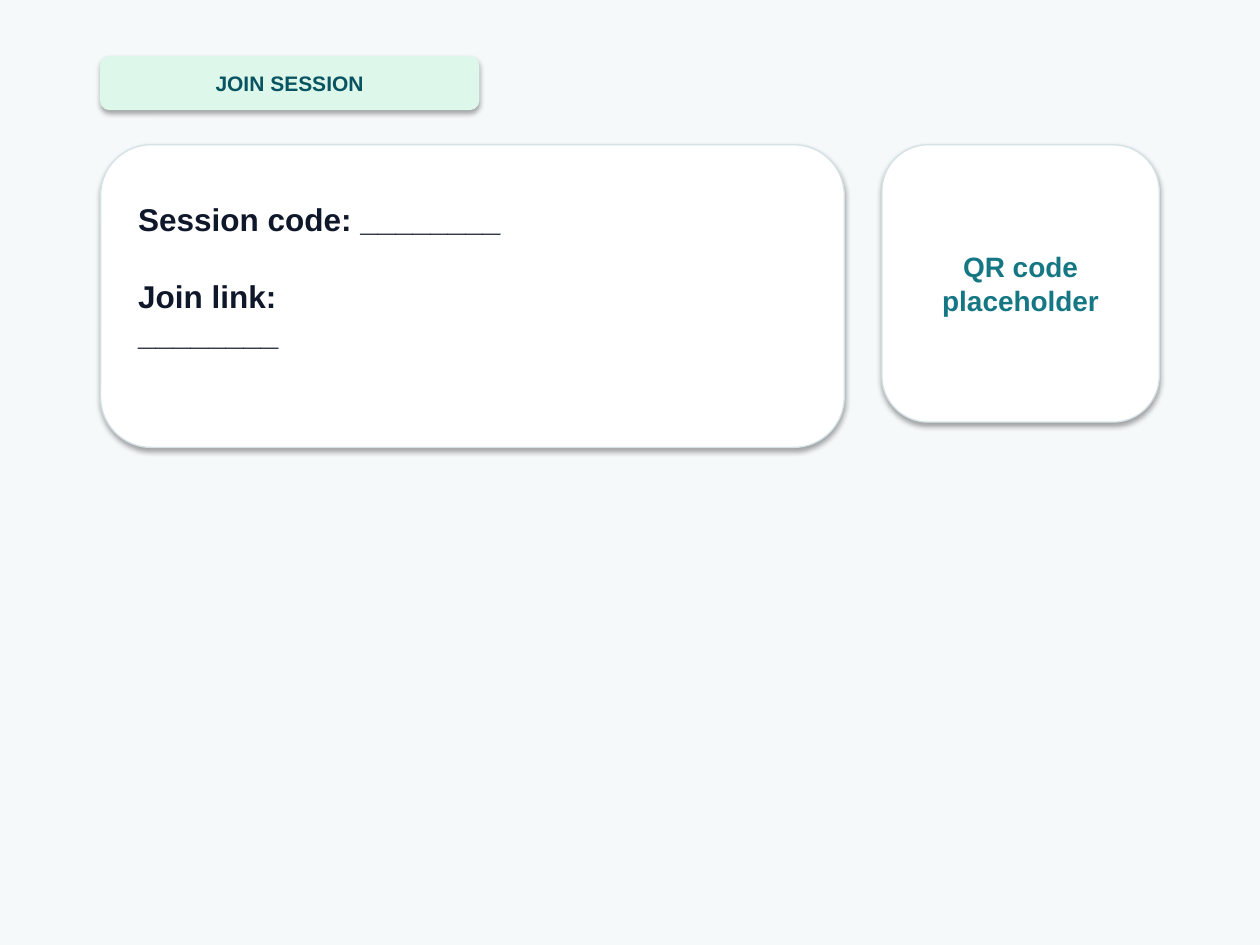
from dataclasses import dataclass

from pptx import Presentation
from pptx.dml.color import RGBColor
from pptx.enum.shapes import MSO_SHAPE
from pptx.enum.text import MSO_ANCHOR, PP_ALIGN
from pptx.util import Cm, Pt


@dataclass(frozen=True)
class Theme:
    page: str = "F6F9FA"
    mint: str = "DEF7EB"
    card: str = "FFFFFF"
    edge: str = "D4E2E5"
    deep: str = "085461"
    ink: str = "0F172A"
    teal: str = "167784"
    font: str = "Arial"
    tag: int = 12
    body: int = 18
    code: int = 16


THEME = Theme()


def add_box(slide, kind, area, fill, edge):
    """Add a filled shape that keeps the soft shadow of the theme."""
    box = slide.shapes.add_shape(kind, *[Cm(n) for n in area])
    box.fill.solid()
    box.fill.fore_color.rgb = RGBColor.from_string(fill)
    box.line.color.rgb = RGBColor.from_string(edge)
    box.line.width = Pt(0.75)
    return box


def add_text(box, parts, size, color, align=PP_ALIGN.CENTER, gap=0, foot=0.2):
    """Write bold paragraphs, with a gap in points between them."""
    frame = box.text_frame
    form = {
        "word_wrap": True,
        "vertical_anchor": MSO_ANCHOR.MIDDLE,
        "margin_left": Cm(0.46),
        "margin_right": Cm(0.46),
        "margin_top": Cm(0.2),
        "margin_bottom": Cm(foot),
    }
    for name, value in form.items():
        setattr(frame, name, value)

    style = {"name": THEME.font, "size": Pt(size), "bold": True}
    for i, part in enumerate(parts):
        para = frame.add_paragraph() if i else frame.paragraphs[0]
        para.text = part
        para.alignment = align
        if i:
            para.space_before = Pt(gap)
        for run in para.runs:
            for name, value in style.items():
                setattr(run.font, name, value)
            run.font.color.rgb = RGBColor.from_string(color)


def main():
    deck = Presentation()
    deck.slide_width, deck.slide_height = Cm(25.4), Cm(19.05)
    slide = deck.slides.add_slide(deck.slide_layouts[6])
    left, top = 2.03, 2.92
    round_box = MSO_SHAPE.ROUNDED_RECTANGLE

    # Page
    add_box(slide, MSO_SHAPE.RECTANGLE, (0, 0, 25.4, 19.05),
            THEME.page, THEME.page)

    # Tag
    tag = add_box(slide, round_box, (left, 1.14, 7.62, 1.07),
                  THEME.mint, THEME.mint)
    add_text(tag, ["JOIN SESSION"], THEME.tag, THEME.deep)

    # Session card
    card = add_box(slide, round_box, (left, top, 14.99, 6.1),
                   THEME.card, THEME.edge)
    add_text(card, ["Session code: ________", "Join link:\v________"],
             THEME.body, THEME.ink, PP_ALIGN.LEFT, gap=22, foot=1)

    # Code card
    code = add_box(slide, round_box, (17.78, top, 5.59, 5.59),
                   THEME.card, THEME.edge)
    add_text(code, ["QR code\vplaceholder"], THEME.code, THEME.teal)

    deck.save("out.pptx")


if __name__ == "__main__":
    main()
